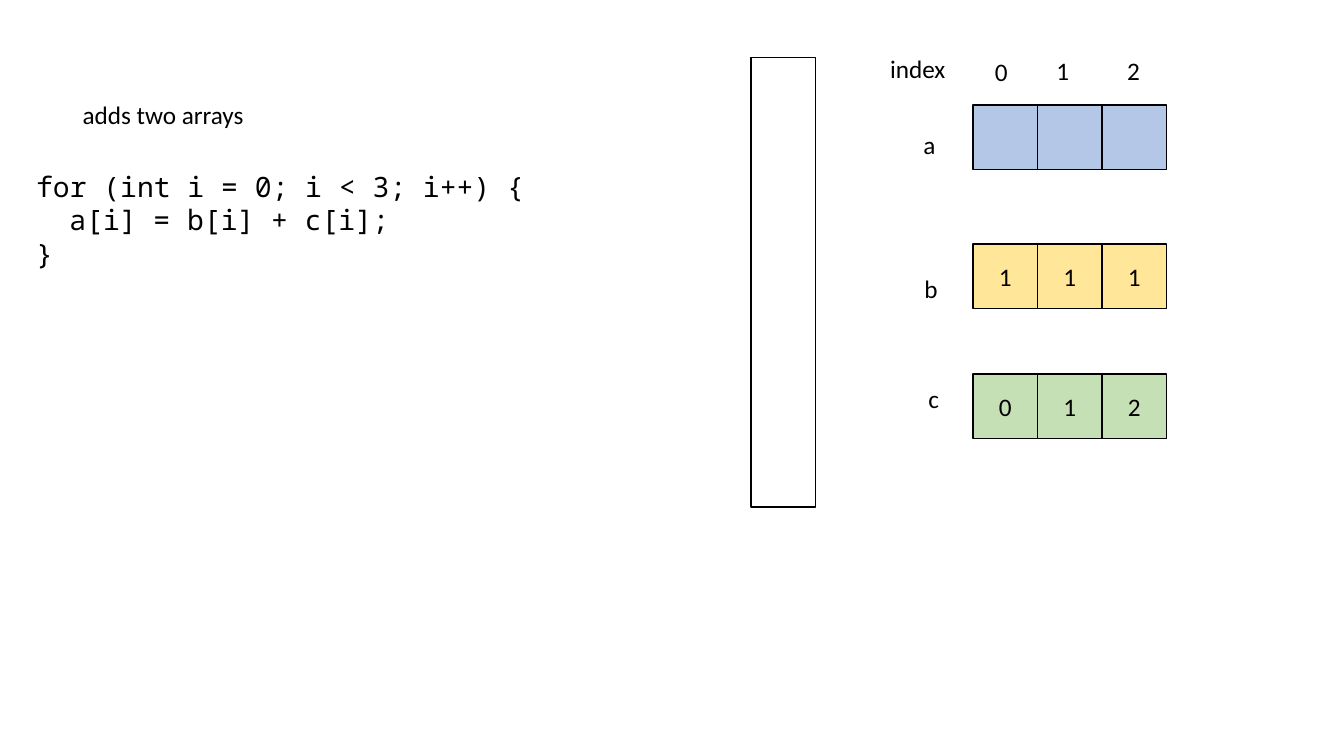
from pptx import Presentation
from pptx.dml.color import RGBColor
from pptx.enum.shapes import MSO_SHAPE
from pptx.enum.text import MSO_ANCHOR, MSO_AUTO_SIZE, PP_ALIGN
from pptx.util import Inches, Pt

BLACK = RGBColor(0x00, 0x00, 0x00)
BLUE = RGBColor(0xB4, 0xC7, 0xE7)
YELLOW = RGBColor(0xFF, 0xE6, 0x99)
GREEN = RGBColor(0xC5, 0xE0, 0xB4)

BODY_FONT = "Calibri"
CODE_FONT = "Noto Sans Mono"
CELL = 0.64
CODE_INDENT = 0.33  # two characters of the code font

CODE = [
    (0, "for (int i = 0; i < 3; i++) {"),
    (1, "a[i] = b[i] + c[i];"),
    (0, "}"),
]


def add_span(para, text, font=BODY_FONT, size=18):
    span = para.add_run()
    span.text = text
    span.font.name = font
    span.font.size = Pt(size)
    span.font.color.rgb = BLACK


def add_text(page, left, top, width, height, lines, font=BODY_FONT, size=18):
    """Place a text box; each line is an (indent level, text) pair."""
    box = page.shapes.add_textbox(
        Inches(left), Inches(top), Inches(width), Inches(height))
    frame = box.text_frame
    frame.word_wrap = False
    frame.auto_size = MSO_AUTO_SIZE.SHAPE_TO_FIT_TEXT
    for number, (level, text) in enumerate(lines):
        para = frame.add_paragraph() if number else frame.paragraphs[0]
        if level:
            margin = Inches(level * CODE_INDENT)
            para._p.get_or_add_pPr().set("marL", str(margin))
        add_span(para, text, font, size)


def add_label(page, left, top, width, text):
    add_text(page, left, top, width, 0.4, [(0, text)])


def add_box(page, left, top, width, height, fill=None, text=""):
    """Draw an outlined rectangle with optional fill and centred text."""
    box = page.shapes.add_shape(
        MSO_SHAPE.RECTANGLE,
        Inches(left), Inches(top), Inches(width), Inches(height))
    box.shadow.inherit = False
    box.line.color.rgb = BLACK
    box.line.width = Pt(1)
    if fill is None:
        box.fill.background()
    else:
        box.fill.solid()
        box.fill.fore_color.rgb = fill
    if text:
        box.text_frame.vertical_anchor = MSO_ANCHOR.MIDDLE
        para = box.text_frame.paragraphs[0]
        para.alignment = PP_ALIGN.CENTER
        add_span(para, text)


def add_code_region(page, left, top):
    """Caption with the loop below it."""
    add_label(page, left + 0.46, top, 1.82, "adds two arrays")
    add_text(page, left, top + 0.69, 5.08, 1.11, CODE, CODE_FONT, 20)


def add_index_row(page, left, top):
    """Column numbers above the arrays."""
    add_label(page, left, top, 0.76, "index")
    add_label(page, left + 1.04, top + 0.03, 0.33, "0")
    add_label(page, left + 1.65, top + 0.02, 0.33, "1")
    add_label(page, left + 2.35, top + 0.02, 0.33, "2")


def add_array(page, left, top, fill, values):
    """Row of adjoining square cells."""
    for column, value in enumerate(values):
        add_box(page, left + column * CELL, top, CELL, CELL, fill, value)


def main():
    deck = Presentation()
    deck.slide_width = Inches(13.33)
    deck.slide_height = Inches(7.5)
    page = deck.slides.add_slide(deck.slide_layouts[6])

    add_code_region(page, 0.26, 0.94)

    # Arrays and their names
    add_array(page, 9.65, 1.04, BLUE, ["", "", ""])
    add_array(page, 9.65, 2.42, YELLOW, ["1", "1", "1"])
    add_array(page, 9.65, 3.71, GREEN, ["0", "1", "2"])
    add_label(page, 9.06, 1.23, 0.32, "a")
    add_label(page, 9.07, 2.66, 0.34, "b")
    add_label(page, 9.11, 3.75, 0.31, "c")
    add_index_row(page, 8.73, 0.48)

    # Tall empty column beside the arrays
    add_box(page, 7.45, 0.57, CELL, 4.46)

    deck.save("out.pptx")


if __name__ == "__main__":
    main()
